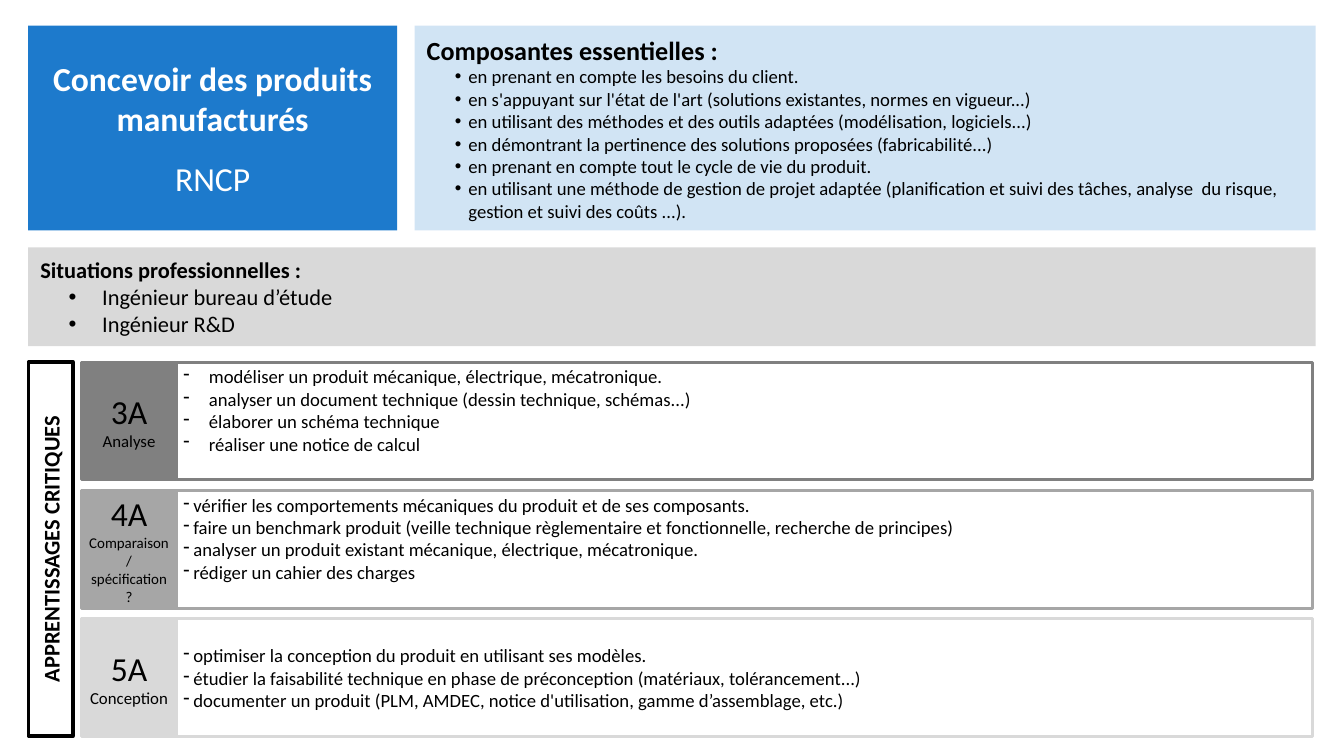
from lxml.etree import SubElement
from pptx import Presentation
from pptx.dml.color import RGBColor
from pptx.enum.shapes import MSO_SHAPE
from pptx.enum.text import MSO_ANCHOR, MSO_AUTO_SIZE, PP_ALIGN
from pptx.oxml.ns import qn
from pptx.util import Inches, Pt

BLACK = RGBColor(0x00, 0x00, 0x00)
WHITE = RGBColor(0xFF, 0xFF, 0xFF)
BLUE = RGBColor(0x1D, 0x7A, 0xCC)
DARK = RGBColor(0x80, 0x80, 0x80)
MID = RGBColor(0xA6, 0xA6, 0xA6)
LIGHT = RGBColor(0xD9, 0xD9, 0xD9)


def style(shape, box, fill, line=None, width=3):
    shape.left, shape.top, shape.width, shape.height = [Inches(v) for v in box]
    shape.fill.solid()
    shape.fill.fore_color.rgb = fill
    if line is None:
        shape.line.fill.background()
    else:
        shape.line.color.rgb = line
        shape.line.width = Pt(width)
    frame = shape.text_frame
    frame.word_wrap = True
    frame.auto_size = MSO_AUTO_SIZE.NONE
    frame.vertical_anchor = MSO_ANCHOR.MIDDLE
    return frame


def write(frame, texts, sizes, align=PP_ALIGN.LEFT, color=BLACK, bold=False,
          mark=None, left=0, hang=0, level=0):
    for text, size in zip(texts, sizes):
        if frame.text:
            para = frame.add_paragraph()
        else:
            para = frame.paragraphs[0]
        para.text = text
        para.level = level
        para.alignment = align
        para.space_before = Pt(0)
        props = para._p.get_or_add_pPr()
        props.set("marL", str(Inches(left)))
        props.set("indent", str(Inches(-hang)))
        if mark:
            SubElement(props, qn("a:buChar")).set("char", mark)
        else:
            SubElement(props, qn("a:buNone"))
        for run in para.runs:
            run.font.name = "Calibri"
            run.font.size = Pt(size)
            run.font.bold = bold
            run.font.color.rgb = color


deck = Presentation()
deck.slide_width = Inches(20)
deck.slide_height = Inches(11.25)
slide = deck.slides.add_slide(deck.slide_layouts[3])
title, parts, jobs = slide.placeholders

frame = style(title, (0.42, 0.38, 5.49, 3.05), BLUE)
write(frame, ["Concevoir des produits manufacturés"], [36],
      PP_ALIGN.CENTER, WHITE, True)
write(frame, ["RNCP"], [36], PP_ALIGN.CENTER, WHITE)
frame.paragraphs[1].line_spacing = 1.5

frame = style(parts, (6.17, 0.38, 13.41, 3.05), BLUE)
tint = parts.element.spPr.find(".//" + qn("a:srgbClr"))
SubElement(tint, qn("a:alpha")).set("val", "20000")
write(frame, ["Composantes essentielles :"], [28], bold=True, left=0.08)
write(frame, [
    "en prenant en compte les besoins du client.",
    "en s'appuyant sur l'état de l'art (solutions existantes, normes en vigueur...)",
    "en utilisant des méthodes et des outils adaptées (modélisation, logiciels...)",
    "en démontrant la pertinence des solutions proposées (fabricabilité...)",
    "en prenant en compte tout le cycle de vie du produit.",
    "en utilisant une méthode de gestion de projet adaptée (planification et suivi "
    "des tâches, analyse  du risque, gestion et suivi des coûts ...).",
], [20] * 6, mark="•", left=0.7, hang=0.2, level=1)

frame = style(jobs, (0.42, 3.68, 19.16, 1.47), LIGHT)
write(frame, ["Situations professionnelles :"], [24], bold=True, left=0.08)
write(frame, ["Ingénieur bureau d’étude", "Ingénieur R&D"], [24] * 2,
      mark="•", left=1, hang=0.5, level=1)

years = [
    ("3A", "Analyse", 18, DARK, 0.38, 0.38, [
        "modéliser un produit mécanique, électrique, mécatronique.",
        "analyser un document technique (dessin technique, schémas...)",
        "élaborer un schéma technique",
        "réaliser une notice de calcul"]),
    ("4A", "Comparaison / spécification ?", 16, MID, 0.15, 0.38, [
        "vérifier les comportements mécaniques du produit et de ses composants.",
        "faire un benchmark produit (veille technique règlementaire et "
        "fonctionnelle, recherche de principes)",
        "analyser un produit existant mécanique, électrique, mécatronique.",
        "rédiger un cahier des charges"]),
    ("5A", "Conception", 18, LIGHT, 0.15, 0.05, [
        "optimiser la conception du produit en utilisant ses modèles.",
        "étudier la faisabilité technique en phase de préconception "
        "(matériaux, tolérancement...)",
        "documenter un produit (PLM, AMDEC, notice d'utilisation, "
        "gamme d’assemblage, etc.)"]),
]
shapes = [slide.shapes.add_shape(MSO_SHAPE.RECTANGLE, 0, 0, 0, 0)
          for _ in range(2 * len(years) + 1)]
for shape in shapes:
    shape.shadow.inherit = False
side, *cells = shapes

for row, (year, stage, size, tone, hang, foot, skills) in enumerate(years):
    top = 5.39 + 1.91 * row
    frame = style(cells[2 * row], (2.63, top, 16.9, 1.75), WHITE, tone)
    frame.margin_bottom = Inches(foot)
    write(frame, skills, [20] * len(skills), mark="-", left=hang, hang=hang)
    frame = style(cells[2 * row + 1], (1.21, top, 1.42, 1.75), tone, tone)
    write(frame, [year, stage], [36, size], PP_ALIGN.CENTER)

frame = style(side, (-2.03, 7.84, 5.57, 0.66), WHITE, BLACK, 3.75)
side.rotation = 270
write(frame, ["APPRENTISSAGES CRITIQUES"], [24], PP_ALIGN.CENTER, bold=True)

deck.save("out.pptx")
